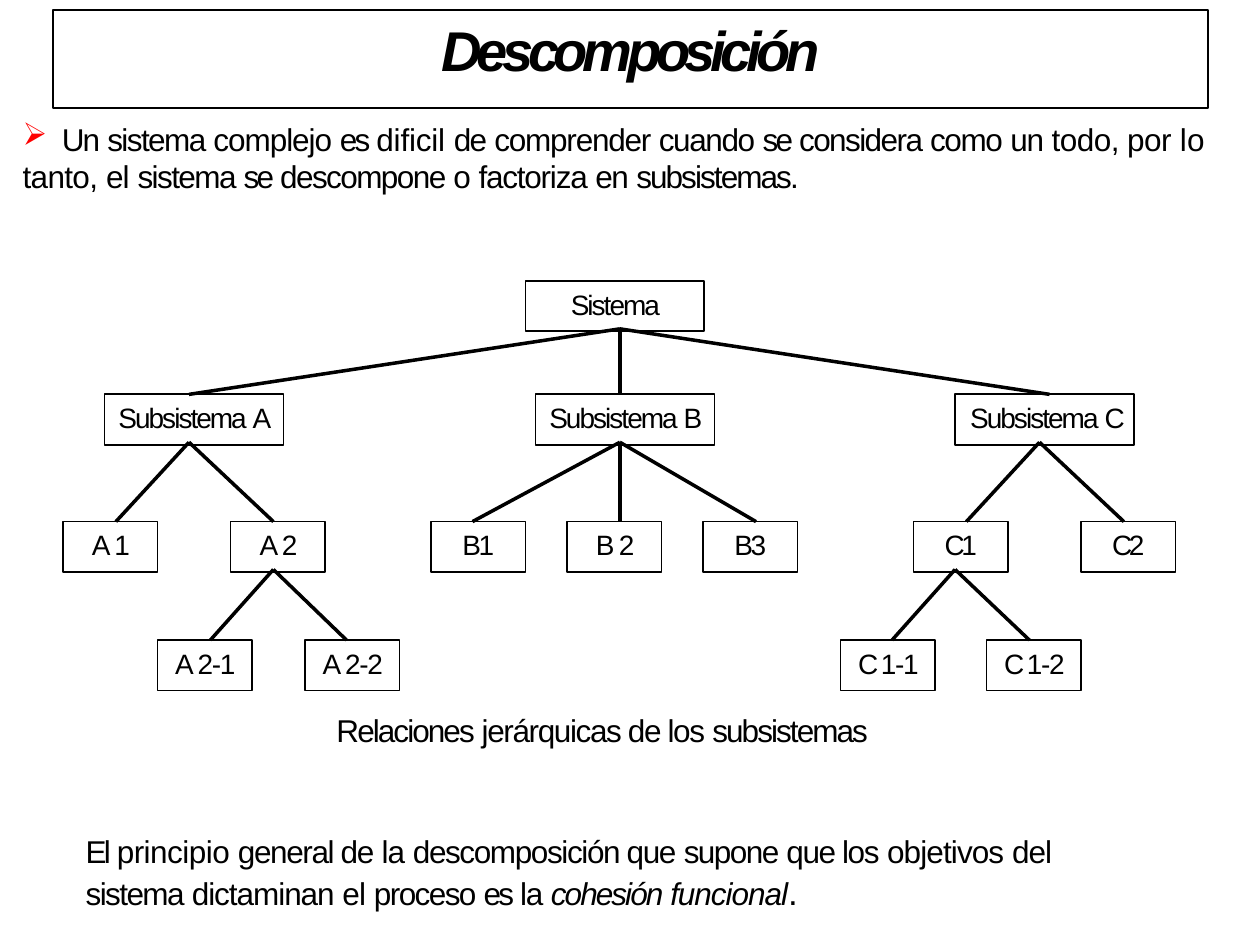
from dataclasses import dataclass
from typing import Optional

from lxml import etree
from pptx import Presentation
from pptx import util as u
from pptx.dml import color
from pptx.enum import shapes, text
from pptx.oxml import ns


@dataclass(frozen=True)
class Theme:
    font: str = "Arial"
    ink: color.RGBColor = color.RGBColor(0, 0, 0)
    bullet: str = "FF0000"
    title_size: int = 32
    body_size: int = 18
    node_size: int = 16
    end_size: int = 20
    outline: float = 1
    branch: float = 2


@dataclass(frozen=True)
class Span:
    words: str
    spacing: float
    italic: Optional[bool] = None
    size: Optional[int] = None


@dataclass(frozen=True)
class Node:
    left: float
    level: int
    spans: tuple[Span, ...]
    indent: Optional[float] = None
    entry: float = 0
    exit: float = 0
    parent: Optional[str] = None


THEME = Theme()
LEVEL_TOPS = (2.23, 3.13, 4.14, 5.08)
LEVEL_WIDTHS = (1.42, 1.42, 0.75, 0.75)
NODE_HEIGHT = 0.4
EXIT_DEPTH = 0.38


def spans(*pairs) -> tuple[Span, ...]:
    return tuple(Span(*pair) for pair in pairs)


def subsystem(letter: str, spacing: float) -> tuple[Span, ...]:
    return spans(("Subsistema ", -1.1), (letter, spacing))


NODES = {
    "S": Node(4.17, 0, spans(("Sistema", -1.1)), 0.36, exit=4.92),
    "A": Node(0.83, 1, subsystem("A", -1.4), 0.11, 1.5, 1.5, "S"),
    "B": Node(4.25, 1, subsystem("B", -2), 0.11, 4.92, 4.92, "S"),
    "C": Node(7.58, 1, subsystem("C", -3), 0.12, 8.33, 8.25, "S"),
    "A1": Node(0.5, 2, spans(("A ", -1.4), ("1", -0.8)), 0.23, 0.92, parent="A"),
    "A2": Node(1.83, 2, spans(("A ", -1.4), ("2", -0.8)), 0.23, 2.17, 2.17, "A"),
    "B1": Node(3.42, 2, spans(("B1", -1.4)), None, 3.75, parent="B"),
    "B2": Node(4.5, 2, spans(("B ", -2), ("2", -0.8)), 0.23, 4.92, parent="B"),
    "B3": Node(5.58, 2, spans(("B3", -1.4)), None, 6, parent="B"),
    "C1": Node(7.25, 2, spans(("C1", -1.9)), None, 7.67, 7.58, "C"),
    "C2": Node(8.58, 2, spans(("C2", -1.9)), None, 8.92, parent="C"),
    "A21": Node(1.25, 3, spans(("A ", -1.4), ("2-1", -0.7)), 0.14, 1.67, parent="A2"),
    "A22": Node(2.42, 3, spans(("A ", -1.4), ("2-2", -0.7)), 0.14, 2.75, parent="A2"),
    "C11": Node(6.67, 3, spans(("C ", -3), ("1-1", -0.7)), 0.14, 7.08, parent="C1"),
    "C12": Node(7.83, 3, spans(("C ", -3), ("1-2", -0.7)), 0.14, 8.17, parent="C1"),
}

INTRO = (
    spans(("Un ", -1), ("sistema ", -0.9), ("complejo ", -0.6), ("es ", -1.6),
          ("dificil ", -0.1), ("de ", -0.9), ("comprender ", -0.7),
          ("cuando ", -0.8), ("se ", -1.6), ("considera ", -0.9),
          ("como ", -0.8), ("un ", -0.7), ("todo, por ", -0.3), ("lo", 0.2)),
    spans(("tanto, ", -0.4), ("el ", -0.5), ("sistema ", -0.9), ("se ", -1.6),
          ("descompone ", -0.9), ("o ", -0.6), ("factoriza ", -0.7),
          ("en ", -0.8), ("subsistemas.", -1.1)),
)
CAPTION = spans(("Relaciones ", -1.1), ("jerárquicas de los ", -0.8), ("subsistemas", -1.1))
PRINCIPLE = (
    spans(("El ", -1.6), ("principio ", -0.3), ("general de ", -0.8), ("la ", -0.6),
          ("descomposición que ", -0.8), ("supone ", -0.9), ("que los ", -0.8),
          ("objetivos ", -0.5), ("del", -0.6)),
    spans(("sistema ", -0.9), ("dictaminan ", -0.6), ("el ", -0.5),
          ("proceso ", -0.9), ("es ", -1.6), ("la ", -0.7),
          ("cohesión ", -1.1, True), ("funcional", -0.6, True),
          (".", -0.6, None, THEME.end_size)),
)


def set_margins(para, left: float = 0, hanging: float = 0, right: float = 0) -> None:
    properties = para._p.get_or_add_pPr()
    for name, length in (("marL", left), ("indent", -hanging), ("marR", right)):
        properties.set(name, str(u.Inches(length)))


def add_bullet(para, tab: float) -> None:
    properties = para._p.get_or_add_pPr()
    bullet_color = etree.SubElement(properties, ns.qn("a:buClr"))
    etree.SubElement(bullet_color, ns.qn("a:srgbClr"), val=THEME.bullet)
    etree.SubElement(properties, ns.qn("a:buChar"), char="➢")
    tabs = etree.SubElement(properties, ns.qn("a:tabLst"))
    etree.SubElement(tabs, ns.qn("a:tab"), pos=str(u.Inches(tab)), algn="l")


def write(para, parts: tuple[Span, ...], size: int, before: float = 0,
          centered: bool = False) -> None:
    para.alignment = text.PP_ALIGN.CENTER if centered else text.PP_ALIGN.LEFT
    para.space_before = u.Pt(before)
    para.font.name = THEME.font
    para.font.size = u.Pt(size)
    para.font.color.rgb = THEME.ink
    for part in parts:
        span = para.add_run()
        span.text = part.words
        span._r.get_or_add_rPr().set("spc", str(round(part.spacing * 100)))
        if part.italic:
            span.font.italic = True
        if part.size:
            span.font.size = u.Pt(part.size)


def prepare_frame(box, top_inset: float):
    frame = box.text_frame
    frame.word_wrap = True
    frame.vertical_anchor = text.MSO_ANCHOR.TOP
    frame.margin_left = frame.margin_right = frame.margin_bottom = 0
    frame.margin_top = u.Inches(top_inset)
    return frame


def add_box(page, left: float, top: float, width: float, height: float, inset: float):
    box = page.shapes.add_shape(shapes.MSO_SHAPE.RECTANGLE, u.Inches(left),
                                u.Inches(top), u.Inches(width), u.Inches(height))
    box.shadow.inherit = False
    box.fill.background()
    box.line.color.rgb = THEME.ink
    box.line.width = u.Pt(THEME.outline)
    return prepare_frame(box, inset)


def add_text(page, left: float, top: float, width: float, height: float):
    box = page.shapes.add_textbox(u.Inches(left), u.Inches(top),
                                  u.Inches(width), u.Inches(height))
    return prepare_frame(box, 0.01)


def draw_node(page, node: Node) -> None:
    frame = add_box(page, node.left, LEVEL_TOPS[node.level],
                    LEVEL_WIDTHS[node.level], NODE_HEIGHT, 0.05)
    para = frame.paragraphs[0]
    set_margins(para, node.indent or 0)
    write(para, node.spans, THEME.node_size, 3.8, node.indent is None)


def draw_branch(page, parent: Node, child: Node) -> None:
    branch = page.shapes.add_connector(
        shapes.MSO_CONNECTOR.STRAIGHT,
        u.Inches(parent.exit), u.Inches(LEVEL_TOPS[parent.level] + EXIT_DEPTH),
        u.Inches(child.entry), u.Inches(LEVEL_TOPS[child.level]))
    branch.line.color.rgb = THEME.ink
    branch.line.width = u.Pt(THEME.branch)
    etree.SubElement(branch._element.spPr, ns.qn("a:effectLst"))


def main() -> None:
    deck = Presentation()
    deck.slide_width, deck.slide_height = u.Inches(10), u.Inches(7.5)
    page = deck.slides.add_slide(deck.slide_layouts[6])

    title = add_box(page, 0.42, 0.08, 9.17, 0.78, 0.04).paragraphs[0]
    write(title, spans(("Descomposición", -3.1)), THEME.title_size, 2.8, True)
    title.font.bold = title.font.italic = True

    for node in NODES.values():
        draw_node(page, node)
    for node in NODES.values():
        if node.parent:
            draw_branch(page, NODES[node.parent], node)

    intro = add_text(page, 0.17, 0.94, 9.59, 0.63)
    first, second = intro.paragraphs[0], intro.add_paragraph()
    set_margins(first, 0.32, 0.31)
    add_bullet(first, 0.32)
    set_margins(second, 0.01)
    write(first, INTRO[0], THEME.body_size, 1)
    write(second, INTRO[1], THEME.body_size)

    closing = add_text(page, 0.67, 5.63, 8.33, 1.58)
    caption = closing.paragraphs[0]
    set_margins(caption, right=0.11)
    write(caption, CAPTION, THEME.body_size, 1, True)
    for line, before in zip(PRINCIPLE, (48, 0)):
        para = closing.add_paragraph()
        set_margins(para, 0.01)
        write(para, line, THEME.body_size, before)

    deck.save("out.pptx")


if __name__ == "__main__":
    main()
